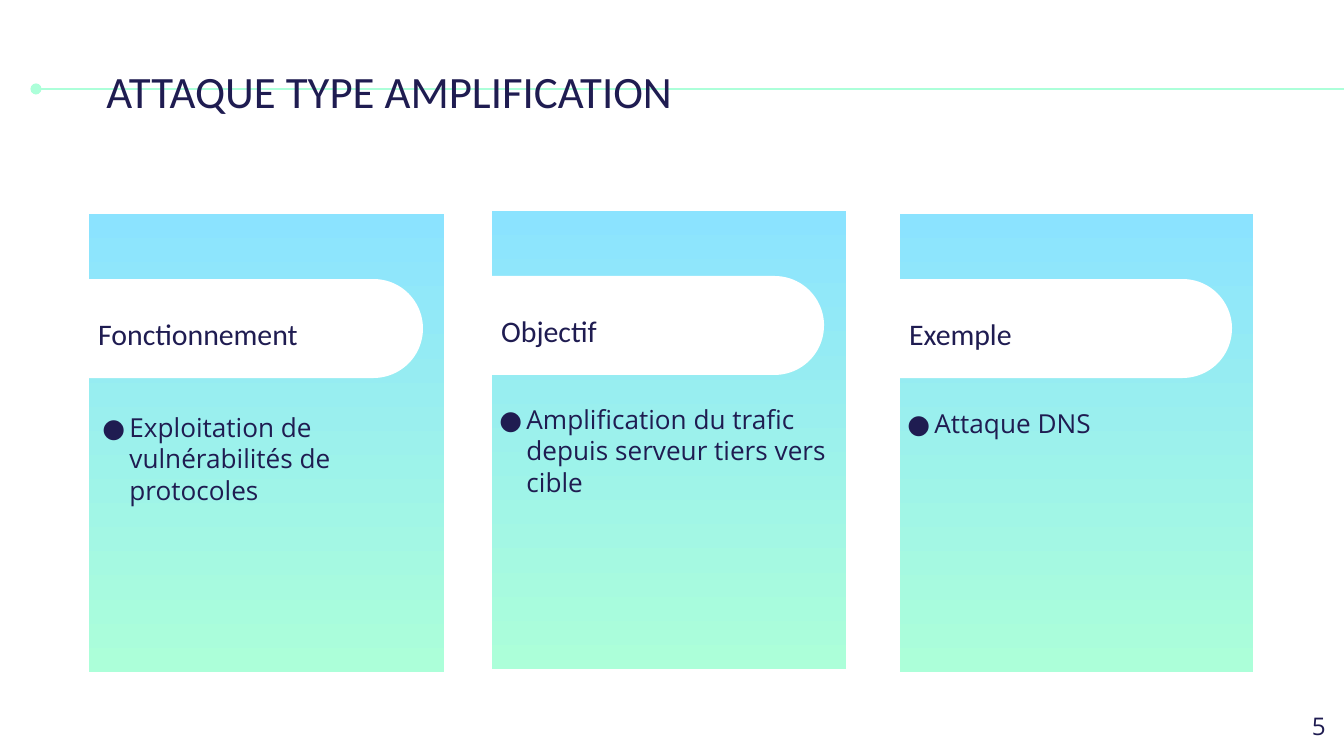
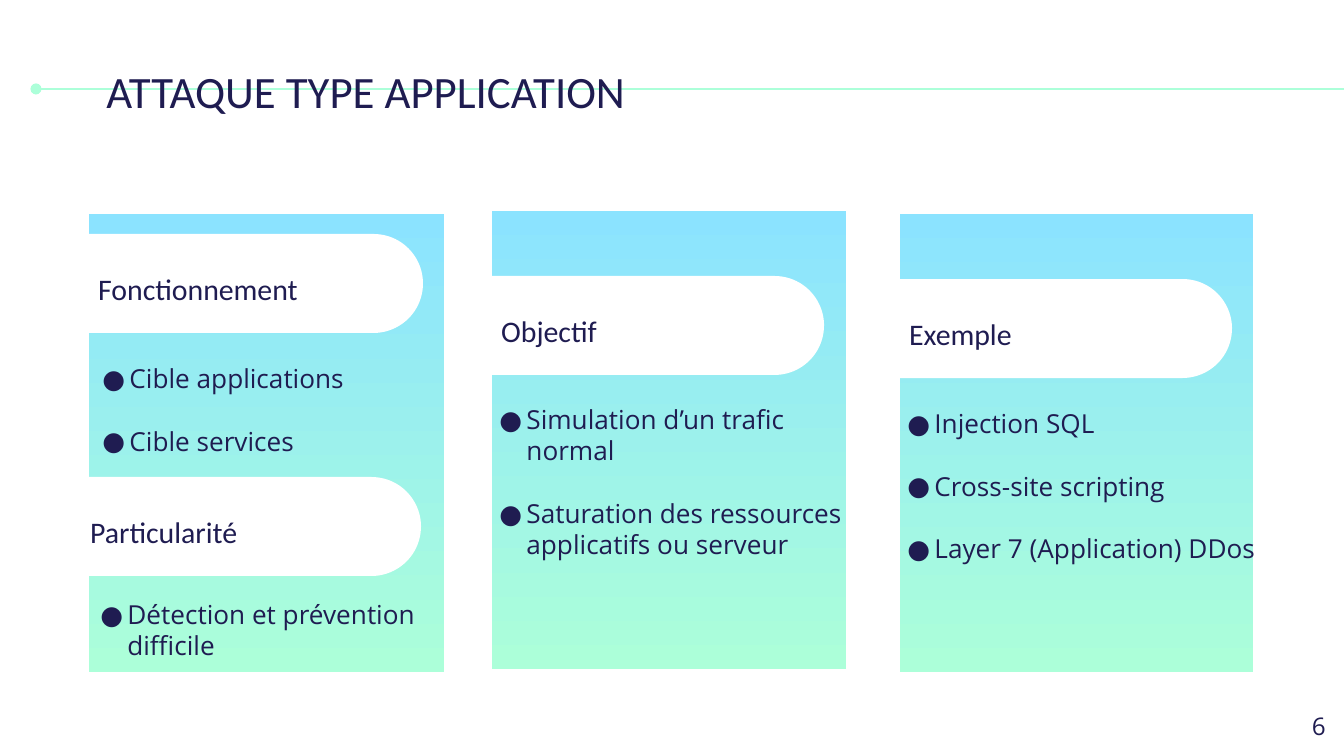
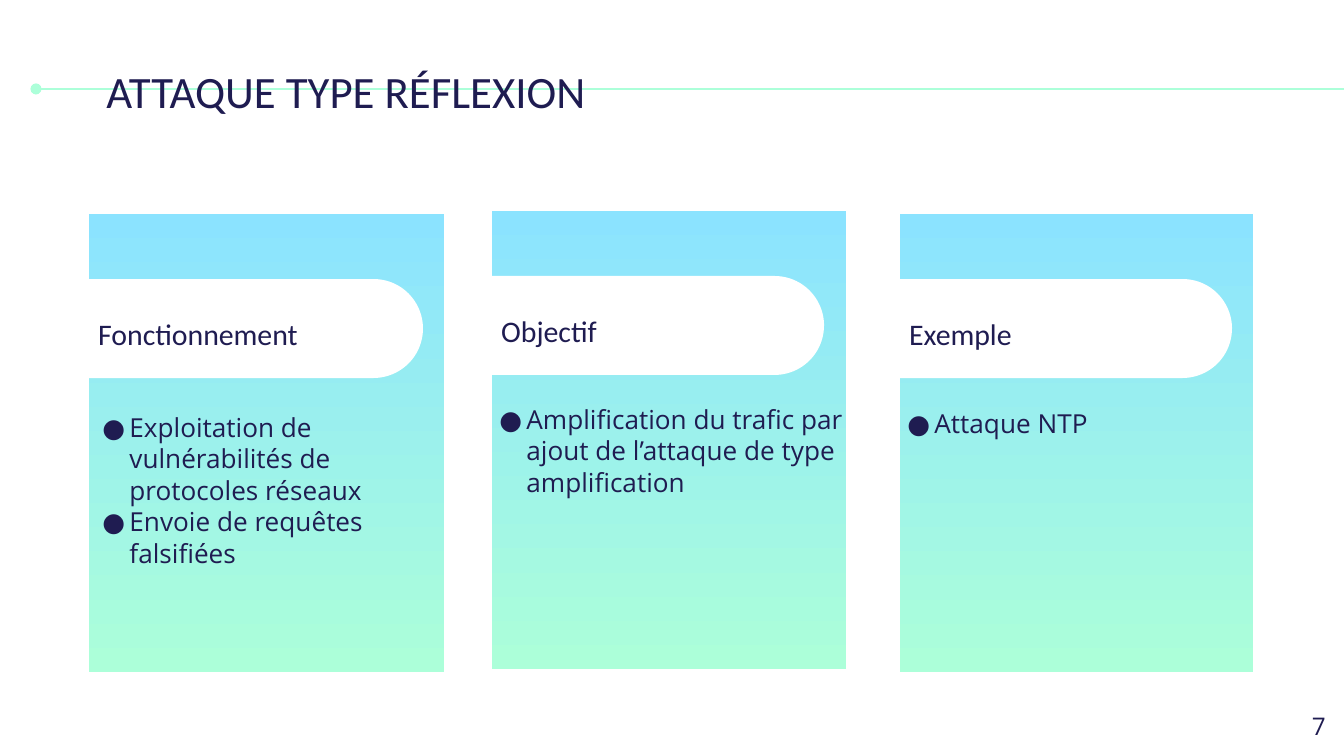
"""Build three slides on types of denial-of-service attack."""
from dataclasses import dataclass

from lxml.etree import SubElement
from pptx import Presentation
from pptx.dml.color import RGBColor
from pptx.enum.shapes import MSO_CONNECTOR as Connector, MSO_SHAPE as Preset
from pptx.enum.text import MSO_ANCHOR as Anchor, MSO_AUTO_SIZE as AutoSize, PP_ALIGN as Align
from pptx.oxml.ns import qn
from pptx.shapes.base import BaseShape
from pptx.slide import Slide
from pptx.util import Emu, Pt


@dataclass(frozen=True)
class Theme:
    """Colours, fonts and type sizes of the deck."""
    ink: str = "1F1C51"
    sky: str = "8BE3FF"
    mint: str = "ACFFD9"
    paper: str = "FFFFFF"
    heading_font: str = "Calibri"
    body_font: str = "Open Sans"
    title_size: float = 24
    heading_size: float = 16
    body_size: float = 14
    number_size: float = 13
    rule_width: float = 1.5
    item_gap: float = 16.75


@dataclass(frozen=True)
class Column:
    """A gradient panel and the sizes of what stands on it."""
    left: int
    top: int
    width: int
    pill_width: int
    list_left: int
    list_width: int


@dataclass(frozen=True)
class Section:
    """A heading on a white pill with a bullet list below."""
    column: Column
    heading: str
    items: tuple[str, ...]
    pill_top: int
    list_top: int
    list_height: int = 231
    shift: int = 0
    heading_offset: int = -4
    gap: float = THEME_GAP if (THEME_GAP := Theme.item_gap) else 0


@dataclass(frozen=True)
class Topic:
    """The title and sections of one slide."""
    title: str
    sections: tuple[Section, ...]


THEME = Theme()
PANEL_HEIGHT = 458
PILL_HEIGHT = 99
INSET = 13.44
INDENT = 27
FIRST_NUMBER = 5
LEFT = Column(89, 214, 355, 334, 89, 364)
MIDDLE = Column(492, 211, 354, 332, 486, 375)
RIGHT = Column(900, 214, 353, 332, 894, 375)


def px(length: float) -> Emu:
    """Turn pixels into EMU."""
    return Emu(round(length * 914400 / 134.4))


def rgb(code: str) -> RGBColor:
    """Turn a hex code into a colour."""
    return RGBColor.from_string(code)


def place(shape: BaseShape, left: float, top: float, width: float, height: float) -> None:
    """Move and size a shape."""
    shape.left, shape.top, shape.width, shape.height = map(px, (left, top, width, height))


def write(shape: BaseShape, lines: tuple[str, ...], font: str, size: float,
          align: Align = Align.LEFT, gap: float = 0) -> None:
    """Fill a shape with plainly formatted paragraphs."""
    frame = shape.text_frame
    frame.text = "\n".join(lines)
    frame.word_wrap = True
    frame.auto_size = AutoSize.NONE
    frame.vertical_anchor = Anchor.TOP
    frame.margin_left = frame.margin_right = px(INSET)
    frame.margin_top = frame.margin_bottom = px(INSET)
    for para in frame.paragraphs:
        para.alignment = align
        para.space_before, para.space_after = Pt(0), Pt(gap)
        for span in para.runs:
            span.font.name, span.font.size = font, Pt(size)
            span.font.bold = False
            span.font.color.rgb = rgb(THEME.ink)


def add_bullets(shape: BaseShape) -> None:
    """Give every paragraph a round bullet and a hanging indent."""
    for para in shape.text_frame.paragraphs:
        props = para._p.get_or_add_pPr()
        props.set("marL", str(px(INDENT)))
        props.set("indent", str(-px(INDENT)))
        SubElement(SubElement(props, qn("a:buClr")), qn("a:srgbClr")).set("val", THEME.ink)
        SubElement(props, qn("a:buFont")).set("typeface", THEME.body_font)
        SubElement(props, qn("a:buChar")).set("char", "●")


def add_text(page: Slide, text: str, left: float, top: float, width: float, height: float,
             font: str, size: float, align: Align = Align.LEFT) -> None:
    """Add a text box of one line."""
    box = page.shapes.add_textbox(*map(px, (left, top, width, height)))
    write(box, (text,), font, size, align)


def add_panel(page: Slide, column: Column) -> None:
    """Draw the gradient panel of a column."""
    box = (column.left, column.top, column.width, PANEL_HEIGHT)
    panel = page.shapes.add_shape(Preset.RECTANGLE, *map(px, box))
    panel.shadow.inherit = False
    panel.line.fill.background()
    panel.fill.gradient()
    panel.fill.gradient_angle = 270
    for stop, code in zip(panel.fill.gradient_stops, (THEME.sky, THEME.mint)):
        stop.color.rgb = rgb(code)


def add_pill(page: Slide, left: float, top: float, width: float) -> None:
    """Draw a white band with a round right end."""
    turn = (width - PILL_HEIGHT) / 2
    box = (left + turn, top - turn, PILL_HEIGHT, width)
    pill = page.shapes.add_shape(Preset.ROUND_2_SAME_RECTANGLE, *map(px, box))
    pill.rotation = 90
    pill.adjustments[0], pill.adjustments[1] = 0.5, 0
    pill.shadow.inherit = False
    pill.line.fill.background()
    pill.fill.solid()
    pill.fill.fore_color.rgb = rgb(THEME.paper)


def add_section(page: Slide, section: Section, holder: BaseShape) -> None:
    """Draw a pill, its heading and its list."""
    column = section.column
    left = column.left + section.shift
    add_pill(page, left, section.pill_top, column.pill_width)
    add_text(page, section.heading, left + section.heading_offset, section.pill_top + 23,
             310, 56, THEME.heading_font, THEME.heading_size)
    place(holder, column.list_left + section.shift, section.list_top,
          column.list_width, section.list_height)
    write(holder, section.items, THEME.body_font, THEME.body_size, gap=section.gap)
    add_bullets(holder)
    page.shapes.element.append(holder.element)


def add_rule(page: Slide) -> BaseShape:
    """Draw the title rule with its round head."""
    rule = page.shapes.add_connector(Connector.STRAIGHT, *map(px, (36, 89, 1357, 89)))
    rule.line.color.rgb = rgb(THEME.mint)
    rule.line.width = Pt(THEME.rule_width)
    SubElement(rule.line._get_or_add_ln(), qn("a:headEnd")).set("type", "oval")
    SubElement(rule.element.spPr, qn("a:effectLst"))
    return rule


def add_page(page: Slide, topic: Topic, number: int) -> None:
    """Fill one slide."""
    title, *holders = list(page.placeholders)
    place(title, 93, 50, 894, 79)
    write(title, (topic.title,), THEME.heading_font, THEME.title_size)
    for column in (LEFT, MIDDLE, RIGHT):
        add_panel(page, column)
    for section, holder in zip(topic.sections, holders):
        add_section(page, section, holder)
    for holder in holders[len(topic.sections):]:
        page.shapes.element.remove(holder.element)
    add_text(page, str(number), 1258, 698, 81, 58,
             THEME.body_font, THEME.number_size, Align.RIGHT)


def working(*items: str) -> Section:
    """Describe the usual left section."""
    return Section(LEFT, "Fonctionnement", items, 279, 398, 254, gap=0)


def goal(*items: str) -> Section:
    """Describe the middle section."""
    return Section(MIDDLE, "Objectif", items, 276, 390)


def example(*items: str) -> Section:
    """Describe the right section."""
    return Section(RIGHT, "Exemple", items, 279, 394)


TOPICS = (
    Topic("ATTAQUE TYPE AMPLIFICATION", (
        working("Exploitation de vulnérabilités de protocoles"),
        goal("Amplification du trafic depuis serveur tiers vers cible"),
        example("Attaque DNS"))),
    Topic("ATTAQUE TYPE APPLICATION", (
        Section(LEFT, "Fonctionnement", ("Cible applications", "Cible services"),
                234, 349, 126),
        goal("Simulation d’un trafic normal",
             "Saturation des ressources applicatifs ou serveur"),
        example("Injection SQL", "Cross-site scripting", "Layer 7 (Application) DDos"),
        Section(LEFT, "Particularité", ("Détection et prévention difficile",),
                477, 585, 71, shift=-2, heading_offset=-10))),
    Topic("ATTAQUE TYPE RÉFLEXION", (
        working("Exploitation de vulnérabilités de protocoles réseaux",
                "Envoie de requêtes falsifiées"),
        goal("Amplification du trafic par ajout de l’attaque de type amplification"),
        example("Attaque NTP"))),
)


def main() -> None:
    """Build and save the deck."""
    deck = Presentation()
    deck.slide_width, deck.slide_height = px(1344), px(756)
    layout = deck.slide_layouts.get_by_name("Comparison")
    for number, topic in enumerate(TOPICS, FIRST_NUMBER):
        page = deck.slides.add_slide(layout)
        if number == FIRST_NUMBER:
            layout.shapes.element.append(add_rule(page).element)
        add_page(page, topic, number)
    deck.save("out.pptx")


main()
